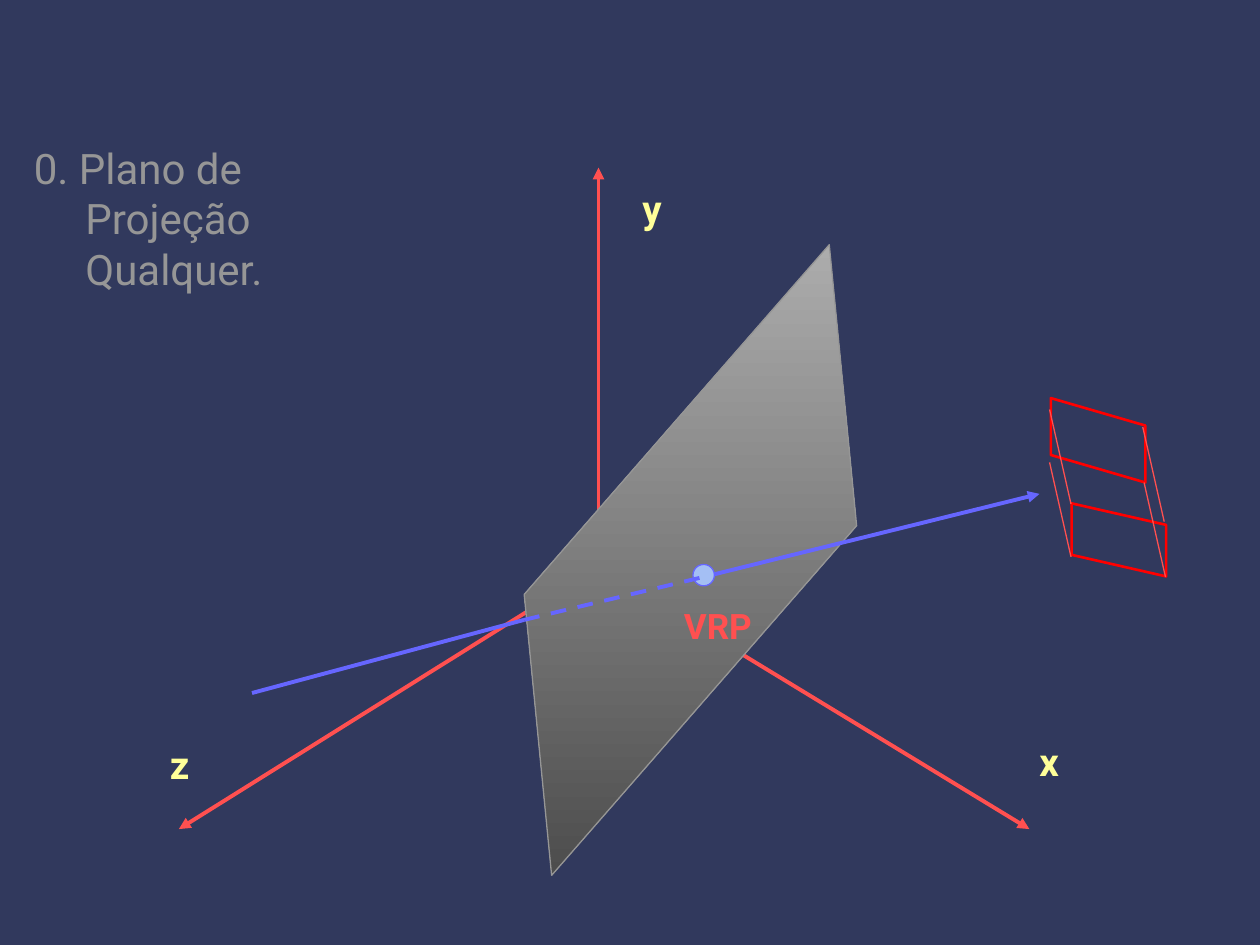
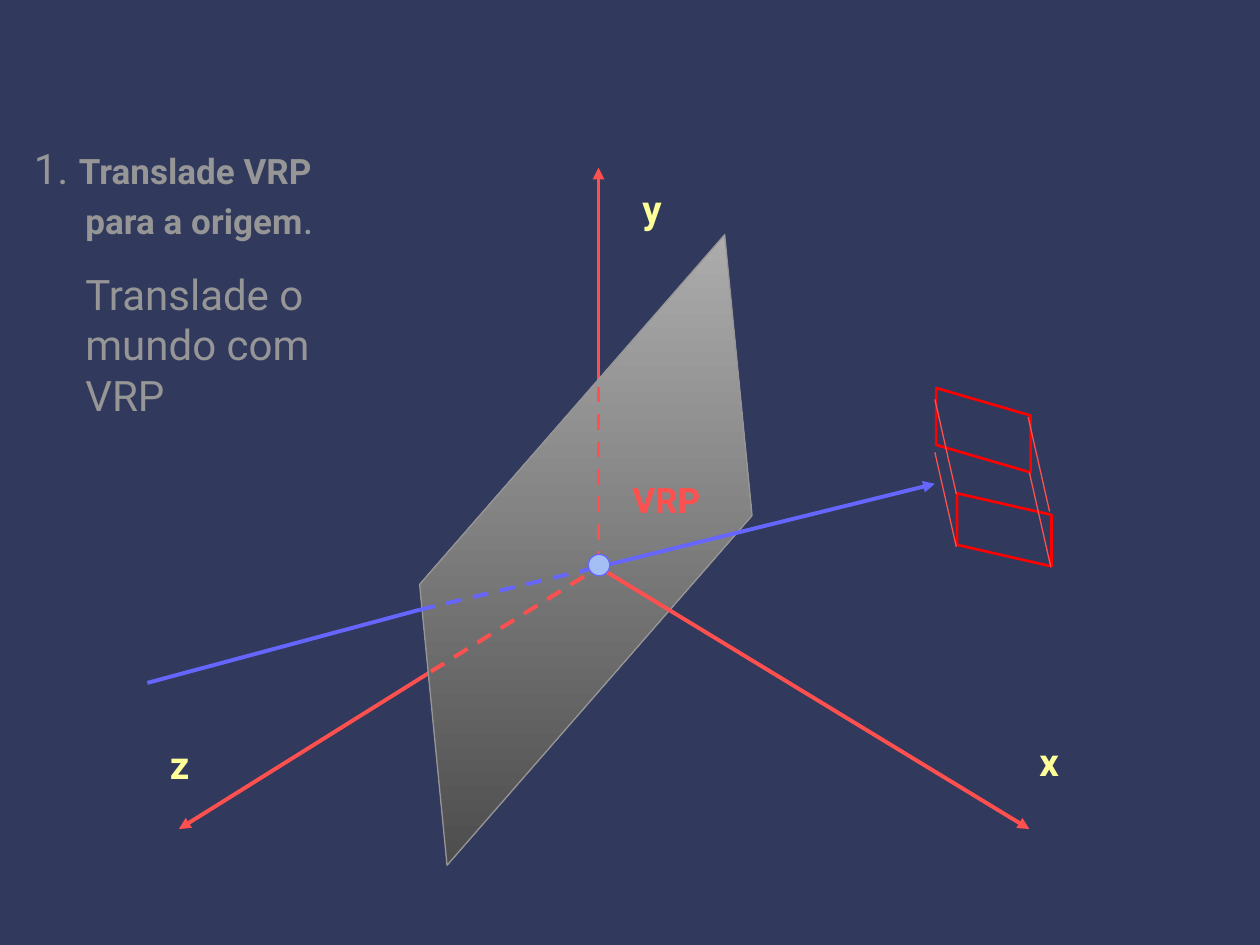
from dataclasses import dataclass

from lxml.etree import SubElement
from pptx import Presentation
from pptx.dml.color import RGBColor
from pptx.enum.dml import MSO_LINE
from pptx.enum.shapes import MSO_CONNECTOR, MSO_SHAPE
from pptx.enum.text import MSO_AUTO_SIZE
from pptx.oxml.ns import qn
from pptx.util import Inches, Pt

BACKGROUND, AXIS_RED, SIGHT_BLUE = "31395D", "FF5050", "6666FF"
LABEL_YELLOW, GREY, HOUSE_RED, DOT_BLUE = "FFFF99", "969696", "FF0000", "A4BFF4"
PLANE_TOP, PLANE_BOTTOM = "ACACAC", "4D4D4D"
FONT = "Roboto"
HANGING = 0.41

Point = tuple[float, float]


@dataclass(frozen=True)
class Segment:
    """A straight line, with its ends measured from a chosen origin."""

    start: Point
    end: Point
    color: str = AXIS_RED
    width: float = 2.25
    arrow: bool = False
    dashed: bool = False


@dataclass(frozen=True)
class Box:
    """A preset shape, placed from a chosen origin."""

    kind: MSO_SHAPE
    left: float
    top: float
    width: float
    height: float
    line: str
    line_width: float = 0.75
    rotation: float = 0
    skew: float | None = None


@dataclass(frozen=True)
class Run:
    """A stretch of text in one format."""

    text: str
    size: float = 24
    color: str = GREY
    bold: bool = False


@dataclass(frozen=True)
class Label:
    """A short one-line text."""

    run: Run
    left: float
    top: float
    width: float
    height: float


ORIGIN = (4.75, 4.5)
AXIS_Z, AXIS_Y, AXIS_X = (
    Segment(ORIGIN, end, arrow=True) for end in ((1.42, 6.58), (4.75, 1.33), (8.17, 6.58))
)
HIDDEN_AXES = [
    Segment(ORIGIN, (4.75, 3), dashed=True),
    Segment((4.82, 4.46), (3.42, 5.33), dashed=True),
]
AXIS_LABELS = [
    Label(Run(name, 22, LABEL_YELLOW, True), left, top, width, 0.47)
    for name, left, top, width in (
        ("x", 8.15, 5.81, 0.39), ("z", 1.25, 5.83, 0.36), ("y", 5, 1.42, 0.38)
    )
]
PLANE = Box(MSO_SHAPE.PARALLELOGRAM, -2.71, -0.95, 5.22, 1.63, GREY, rotation=311.1, skew=0.943)
DOT = Box(MSO_SHAPE.OVAL, -0.08, -0.1, 0.17, 0.17, SIGHT_BLUE)
SIGHT_AHEAD = Segment((0, 0), (2.67, -0.66), SIGHT_BLUE, arrow=True)
SIGHT_BEHIND = [
    Segment((-1.42, 0.34), (0, 0), SIGHT_BLUE, dashed=True),
    Segment((-3.58, 0.92), (-1.42, 0.34), SIGHT_BLUE),
]
HOUSE_FACES = [
    Box(MSO_SHAPE.PARALLELOGRAM, left, top, width, 0.75, HOUSE_RED, 1.5, 90, skew)
    for left, top, width, skew in ((0.05, -0.13, 0.67, 0.326), (0.26, 0.66, 0.58, 0.295))
]
HOUSE_EDGES = [
    Segment((x, y), (x + 0.17, y + 0.75), width=0.75)
    for x, y in ((0.74, 0.14), (0, 0.42), (0.75, 0.58), (0, 0))
]


def rgb(color: str) -> RGBColor:
    """Turn a hex string into a colour."""
    return RGBColor.from_string(color)


def draw_segments(shapes, segments: list[Segment], origin: Point = (0, 0)) -> None:
    """Draw straight lines from an origin."""
    x, y = origin
    for segment in segments:
        (x1, y1), (x2, y2) = segment.start, segment.end
        connector = shapes.add_connector(
            MSO_CONNECTOR.STRAIGHT, Inches(x + x1), Inches(y + y1), Inches(x + x2), Inches(y + y2)
        )
        connector.line.color.rgb = rgb(segment.color)
        connector.line.width = Pt(segment.width)
        if segment.dashed:
            connector.line.dash_style = MSO_LINE.DASH
        properties = connector._element.spPr
        if segment.arrow:
            SubElement(properties.find(qn("a:ln")), qn("a:tailEnd"), type="triangle")
        SubElement(properties, qn("a:effectLst"))


def draw_box(shapes, box: Box, origin: Point):
    """Draw an unfilled preset shape from an origin and return it."""
    x, y = origin
    shape = shapes.add_shape(
        box.kind, Inches(x + box.left), Inches(y + box.top), Inches(box.width), Inches(box.height)
    )
    shape.shadow.inherit = False
    shape.rotation = box.rotation
    if box.skew is not None:
        shape.adjustments[0] = box.skew
    shape.fill.background()
    shape.line.color.rgb = rgb(box.line)
    shape.line.width = Pt(box.line_width)
    return shape


def draw_plane(shapes, vrp: Point) -> None:
    """Draw the projection plane, shaded from top to bottom."""
    plane = draw_box(shapes, PLANE, vrp)
    plane.fill.gradient()
    plane.fill.gradient_angle = 270
    for stop, color in zip(plane.fill.gradient_stops, (PLANE_TOP, PLANE_BOTTOM)):
        stop.color.rgb = rgb(color)
    plane._element.spPr.find(qn("a:gradFill")).set("rotWithShape", "0")


def draw_dot(shapes, vrp: Point) -> None:
    """Mark the view reference point."""
    dot = draw_box(shapes, DOT, vrp)
    dot.fill.solid()
    dot.fill.fore_color.rgb = rgb(DOT_BLUE)


def draw_house(slide, corner: Point) -> None:
    """Draw the wireframe object as one group."""
    group = slide.shapes.add_group_shape()
    for face in HOUSE_FACES:
        draw_box(group.shapes, face, corner)
    draw_segments(group.shapes, HOUSE_EDGES, corner)


def add_text_frame(shapes, left: float, top: float, width: float, height: float, wrap: bool):
    """Add a text box and return its frame."""
    frame = shapes.add_textbox(Inches(left), Inches(top), Inches(width), Inches(height)).text_frame
    frame.word_wrap = wrap
    frame.auto_size = MSO_AUTO_SIZE.SHAPE_TO_FIT_TEXT
    return frame


def fill_paragraph(paragraph, runs: list[Run], margin: float = 0, indent: float = 0) -> None:
    """Write runs into a paragraph with its indents and spacing."""
    properties = paragraph._p.get_or_add_pPr()
    properties.set("marL", str(Inches(margin)))
    properties.set("indent", str(Inches(indent)))
    spacing = SubElement(properties, qn("a:spcBef"))
    SubElement(spacing, qn("a:spcPct"), val="60000")
    for item in runs:
        run = paragraph.add_run()
        run.text = item.text
        formats = {"name": FONT, "size": Pt(item.size), "bold": item.bold}
        for name, value in formats.items():
            setattr(run.font, name, value)
        run.font.color.rgb = rgb(item.color)


def draw_labels(shapes, labels: list[Label]) -> None:
    """Write one-line labels."""
    for label in labels:
        frame = add_text_frame(shapes, label.left, label.top, label.width, label.height, False)
        fill_paragraph(frame.paragraphs[0], [label.run])


def draw_vrp_label(shapes, left: float, top: float) -> None:
    """Name the view reference point."""
    draw_labels(shapes, [Label(Run("VRP", 20, AXIS_RED, True), left, top, 0.77, 0.43)])


def draw_step(slide, height: float, step: list[Run], detail: str = "") -> None:
    """Write the numbered step and its optional detail."""
    frame = add_text_frame(slide.shapes, 0.17, 1.08, 2.93, height, True)
    fill_paragraph(frame.paragraphs[0], step, HANGING, -HANGING)
    if detail:
        fill_paragraph(frame.add_paragraph(), [Run(detail)], HANGING)


def add_slide(presentation):
    """Add a blank slide with the shared background."""
    slide = presentation.slides.add_slide(presentation.slide_layouts[6])
    slide.background.fill.solid()
    slide.background.fill.fore_color.rgb = rgb(BACKGROUND)
    return slide


def build_any_plane(presentation) -> None:
    """Show a projection plane away from the origin."""
    slide = add_slide(presentation)
    vrp = (5.58, 4.58)
    draw_segments(slide.shapes, [AXIS_Z, AXIS_Y, AXIS_X])
    draw_labels(slide.shapes, AXIS_LABELS)
    draw_step(slide, 1.3, [Run("0. Plano de Projeção Qualquer.")])
    view = slide.shapes.add_group_shape().shapes
    draw_plane(view, vrp)
    draw_segments(view, [SIGHT_AHEAD], vrp)
    draw_dot(view, vrp)
    draw_segments(view, SIGHT_BEHIND, vrp)
    draw_vrp_label(slide.shapes, 5.33, 4.75)
    draw_house(slide, (8.33, 3.25))


def build_translated_plane(presentation) -> None:
    """Show the plane moved so that its reference point is the origin."""
    slide = add_slide(presentation)
    shapes = slide.shapes
    draw_segments(shapes, [AXIS_Z, AXIS_Y])
    draw_plane(shapes, ORIGIN)
    draw_segments(shapes, [SIGHT_AHEAD, *SIGHT_BEHIND], ORIGIN)
    draw_segments(shapes, [AXIS_X])
    draw_labels(shapes, AXIS_LABELS)
    step = [Run("1. "), Run("Translade VRP para a origem", 20, bold=True), Run(".")]
    draw_step(slide, 2.34, step, "Translade o mundo com VRP")
    draw_segments(shapes, HIDDEN_AXES)
    draw_dot(shapes, ORIGIN)
    draw_vrp_label(shapes, 4.92, 3.75)
    draw_house(slide, (7.42, 3.17))


def main() -> None:
    """Build and save the presentation."""
    presentation = Presentation()
    presentation.slide_width = Inches(10)
    presentation.slide_height = Inches(7.5)
    build_any_plane(presentation)
    build_translated_plane(presentation)
    presentation.save("out.pptx")


if __name__ == "__main__":
    main()
